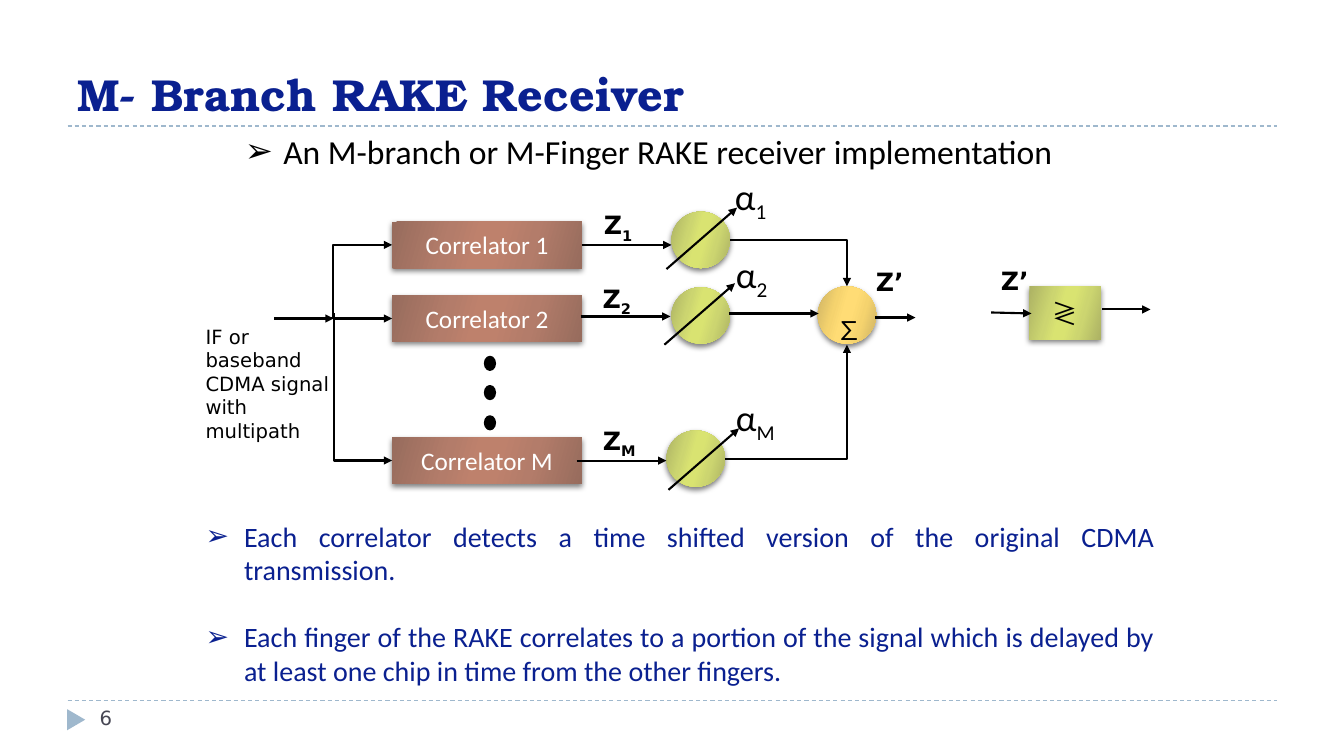
import pptx
import pptx.util
import pptx.dml.color
import pptx.enum.dml
import pptx.enum.shapes
import pptx.enum.text
import pptx.oxml.ns
from lxml import etree

PX = 9144  # 100 px to the inch
RGB = pptx.dml.color.RGBColor
NAVY = RGB(0x0A, 0x20, 0x90)
BLACK = RGB(0, 0, 0)
WHITE = RGB(255, 255, 255)
SLATE = RGB(0x46, 0x46, 0x53)
SKY = RGB(0x9F, 0xB8, 0xCD)
# Edge, middle and centre tones of each gradient
BROWN = [RGB(0x97, 0x6C, 0x5D), RGB(0xB3, 0x7C, 0x6A), RGB(0xBE, 0x81, 0x6C)]
LIME = [RGB(0xAC, 0xB2, 0x64), RGB(0xCC, 0xD5, 0x70), RGB(0xD9, 0xE3, 0x71)]
GOLD = [RGB(0xCD, 0xB2, 0x64), RGB(0xF5, 0xD3, 0x6E), RGB(0xFF, 0xDC, 0x75)]
SANS, BODY, SYMBOL = "DejaVu Sans", "Calibri", "Noto Sans CJK JP"

KIND = pptx.enum.shapes.MSO_SHAPE
LINK = pptx.enum.shapes.MSO_CONNECTOR
ALIGN = pptx.enum.text.PP_ALIGN
ANCHOR = pptx.enum.text.MSO_ANCHOR
qn = pptx.oxml.ns.qn

deck = pptx.Presentation()
deck.slide_width, deck.slide_height = 1333 * PX, 750 * PX
slide = deck.slides.add_slide(deck.slide_layouts[3])
shapes = slide.shapes


def write(paragraph, runs, size, font, color, bold=False):
    """Add (text, baseline percent) runs in one style."""
    for text, baseline in runs:
        run = paragraph.add_run()
        run.text = text
        run.font.size = pptx.util.Pt(size)
        run.font.name = font
        run.font.bold = bold
        run.font.color.rgb = color
        if baseline:
            run._r.get_or_add_rPr().set("baseline", str(baseline * 1000))


def add_block(kind, box, tones):
    """Add a shape with a soft gradient and a drop shadow."""
    block = shapes.add_shape(kind, *[n * PX for n in box])
    block.line.fill.background()
    block.fill.gradient()
    gradient = block._element.spPr.find(qn("a:gradFill"))
    stops = gradient.find(qn("a:gsLst"))
    for stop in list(stops):
        stops.remove(stop)
    for position, tone in zip((0, 30, 45, 55, 73, 100), tones + tones[::-1]):
        stop = etree.SubElement(stops, qn("a:gs"), pos=str(position * 1000))
        etree.SubElement(stop, qn("a:srgbClr"), val=str(tone))
    gradient.find(qn("a:lin")).set("ang", str(16 * 60000))
    block.shadow.inherit = False
    shadow = etree.SubElement(
        block._element.spPr.find(qn("a:effectLst")), qn("a:outerShdw"),
        blurRad="50800", dist="25400", dir="5400000", rotWithShape="0")
    shade = etree.SubElement(shadow, qn("a:srgbClr"), val=str(BLACK))
    etree.SubElement(shade, qn("a:alpha"), val="50000")
    frame = block.text_frame
    frame.vertical_anchor = ANCHOR.MIDDLE
    frame.paragraphs[0].alignment = ALIGN.CENTER
    return frame.paragraphs[0]


# Title
title = shapes.title
title.left, title.top, title.width, title.height = [n * PX for n in (67, 17, 1200, 108)]
title.text_frame.auto_size = pptx.enum.text.MSO_AUTO_SIZE.NONE
title.text_frame.vertical_anchor = ANCHOR.BOTTOM
title.text_frame.paragraphs[0].alignment = ALIGN.LEFT
write(title.text_frame.paragraphs[0], [("M- Branch RAKE Receiver", 0)],
      32, "TeX Gyre Bonum", NAVY, True)

# Bulleted lists above and below the diagram
lists = [
    (1, (233, 125, 887, 50), 24, BLACK,
     ["An M-branch or M-Finger RAKE receiver implementation"]),
    (2, (194, 510, 961, 178), 20, NAVY,
     ["Each correlator detects a time shifted version of the original CDMA transmission.",
      "Each finger of the RAKE correlates to a portion of the signal which is "
      "delayed by at least one chip in time from the other fingers."]),
]
for index, box, size, color, points in lists:
    body = slide.placeholders[index]
    body.left, body.top, body.width, body.height = [n * PX for n in box]
    frame = body.text_frame
    frame.auto_size = pptx.enum.text.MSO_AUTO_SIZE.NONE
    for number, point in enumerate(points):
        paragraph = frame.add_paragraph() if number else frame.paragraphs[0]
        properties = paragraph._p.get_or_add_pPr()
        properties.set("marL", str(38 * PX))
        properties.set("indent", str(-38 * PX))
        etree.SubElement(properties, qn("a:buChar"), char="➢")
        paragraph.alignment = ALIGN.JUSTIFY
        paragraph.space_before = pptx.util.Pt(24 if number else 0)
        write(paragraph, [(point, 0)], size, BODY, color)

# Branches: name, correlator top, gain circle, Z label, α label, Z arrow, gain arrow
branches = [
    ("1", 220, (666, 210), (589, 203), (719, 168), (577, 243), (661, 267)),
    ("2", 293, (666, 285), (588, 276), (720, 245), (576, 314), (659, 342)),
    ("M", 434, (661, 427), (588, 417), (720, 387), (572, 457), (663, 486)),
]
labels = []
arrows = []
for name, top, gain, z_at, alpha_at, feed, sweep in branches:
    correlator = add_block(KIND.RECTANGLE, (389, top, 188, 46), BROWN)
    write(correlator, [("Correlator " + name, 0)], 18, BODY, WHITE)
    add_block(KIND.OVAL, (*gain, 58, 56), LIME)
    width = 65 if name == "M" else 54
    labels += [
        ((*z_at, width, 40), [("Z", 0), (name, -25)], 18, SANS, BLACK, True),
        ((*alpha_at, width, 54), [("α", 0), (name, -25)], 26, BODY, BLACK, False),
    ]
    arrows += [
        ("line", (*feed, feed[0] + 89, feed[1]), "tailEnd"),
        ("line", (*sweep, sweep[0] + 70, sweep[1] - 61), "tailEnd"),
    ]

# Adder and decision block
adder = add_block(KIND.OVAL, (811, 284, 58, 57), GOLD)
write(adder, [("∑", -25)], 32, SYMBOL, BLACK)
decision = add_block(KIND.RECTANGLE, (1021, 284, 71, 53), LIME)
write(decision, [("≷", 0)], 18, SYMBOL, BLACK)

# Dots for the branches between 2 and M
for top in (354, 383, 413):
    dot = shapes.add_shape(KIND.OVAL, 481 * PX, top * PX, 10 * PX, 13 * PX)
    dot.shadow.inherit = False
    dot.fill.solid()
    dot.fill.fore_color.rgb = BLACK
    dot.line.color.rgb = BLACK
    dot.line.width = pptx.util.Pt(1.5)

# Signal paths and footer rules
arrows += [
    ("line", (272, 316, 331, 316), "tailEnd"),
    ("line", (331, 316, 389, 316), "tailEnd"),
    ("bentConnector3", (272, 316, 389, 243), "tailEnd"),
    ("bentConnector2", (389, 457, 331, 311), "headEnd"),
    ("bentConnector2", (724, 238, 840, 284), "tailEnd"),
    ("line", (723, 311, 812, 311), "tailEnd"),
    ("bentConnector2", (719, 455, 840, 342), "tailEnd"),
    ("line", (868, 315, 908, 315), "tailEnd"),
    ("line", (983, 310, 1023, 311), "tailEnd"),
    ("line", (1093, 307, 1141, 307), "tailEnd"),
    ("line", (67, 125, 1267, 125), None),
    ("line", (67, 695, 1267, 695), None),
]
for route, ends, arrowhead in arrows:
    kind = LINK.STRAIGHT if route == "line" else LINK.ELBOW
    wire = shapes.add_connector(kind, *[n * PX for n in ends])
    wire.line.color.rgb = BLACK if arrowhead else SKY
    wire.line.width = pptx.util.Pt(1.5 if arrowhead else 0.75)
    properties = wire._element.spPr
    properties.find(qn("a:prstGeom")).set("prst", route)
    if arrowhead:
        etree.SubElement(properties.find(qn("a:ln")), qn("a:" + arrowhead), type="triangle")
    else:
        wire.line.dash_style = pptx.enum.dml.MSO_LINE.DASH
    etree.SubElement(properties, qn("a:effectLst"))

# Labels and page number
labels += [
    ((859, 259, 54, 40), [("Z’", 0)], 18, SANS, BLACK, True),
    ((983, 258, 54, 40), [("Z’", 0)], 18, SANS, BLACK, True),
    ((194, 317, 144, 128), [("IF or baseband CDMA signal with multipath", 0)],
     14, SANS, BLACK, False),
    ((89, 695, 289, 40), [("6", 0)], 14, SANS, SLATE, False),
]
for box, runs, size, font, color, bold in labels:
    label = shapes.add_textbox(*[n * PX for n in box])
    label.text_frame.word_wrap = True
    write(label.text_frame.paragraphs[0], runs, size, font, color, bold)

# Footer marker
marker = shapes.add_shape(KIND.ISOSCELES_TRIANGLE, 65 * PX, 705 * PX, 21 * PX, 18 * PX)
marker.rotation = 90
marker.shadow.inherit = False
marker.fill.solid()
marker.fill.fore_color.rgb = SKY
marker.line.fill.background()

deck.save("out.pptx")
